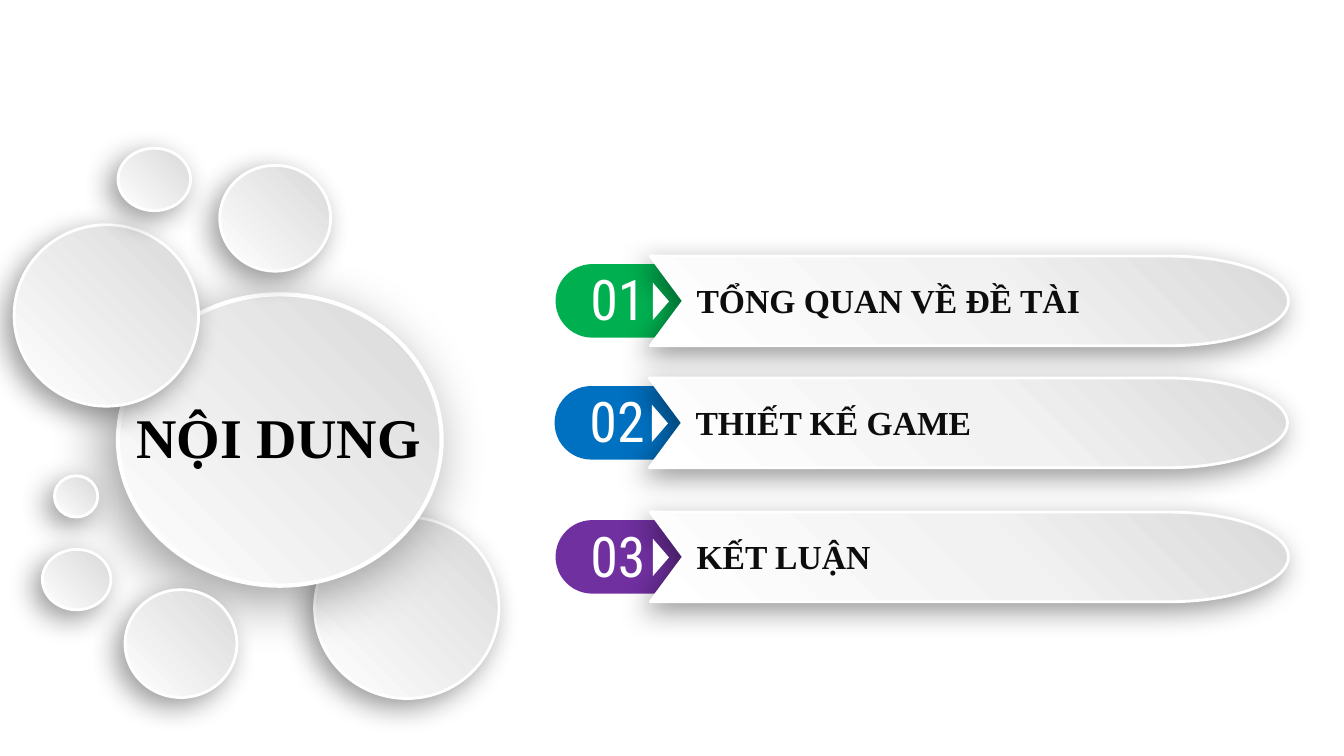
from copy import deepcopy

from lxml.etree import SubElement as add_node
from pptx import Presentation
from pptx.dml.color import RGBColor
from pptx.enum.shapes import MSO_SHAPE as Kind
from pptx.enum.text import MSO_ANCHOR as Anchor, MSO_AUTO_SIZE as Fit, PP_ALIGN as Align
from pptx.oxml.ns import qn
from pptx.util import Pt

SCALE = 9144
WHITE = RGBColor(0xFF, 0xFF, 0xFF)
PALE = RGBColor(0xF2, 0xF2, 0xF2)
GRAY = RGBColor(0xD9, 0xD9, 0xD9)
BLACK = RGBColor(0x00, 0x00, 0x00)
INK = RGBColor(0x0D, 0x0D, 0x0D)
GREEN = RGBColor(0x00, 0xB0, 0x50)
BLUE = RGBColor(0x00, 0x70, 0xC0)
PURPLE = RGBColor(0x70, 0x30, 0xA0)
SERIF = "Times New Roman"
SANS = "Roboto Condensed"

ROWS = [
    (645, 254, GREEN, "01", "TỔNG QUAN VỀ ĐỀ TÀI"),
    (644, 375, BLUE, "02", "THIẾT KẾ GAME"),
    (645, 508, PURPLE, "03", "KẾT LUẬN"),
]
BACK = (312, 513, 183, 180)
HUB = (117, 292, 321, 289)
DOTS = [
    (14, 223, 183, 180),
    (218, 164, 110, 105),
    (117, 147, 72, 62),
    (124, 585, 111, 107),
    (42, 545, 68, 60),
]
LAST = (54, 472, 43, 41)


def px(*sizes):
    return [round(size * SCALE) for size in sizes]


def shade(shape, stops):
    shape.fill.gradient()
    shape.fill.gradient_angle = 45
    nodes = shape._element.spPr.find(qn("a:gradFill")).find(qn("a:gsLst"))
    for _ in stops[2:]:
        nodes.insert(1, deepcopy(nodes[0]))
    for stop, (place, color) in zip(shape.fill.gradient_stops, stops):
        stop.position = place
        stop.color.rgb = color


def lift(shape, blur, gap):
    shape.shadow.inherit = False
    effects = shape._element.spPr.find(qn("a:effectLst"))
    cast = add_node(effects, qn("a:outerShdw"), blurRad=str(Pt(blur)), dist=str(Pt(gap)),
                    dir="8100000", algn="tr", rotWithShape="0")
    tint = add_node(cast, qn("a:srgbClr"), val=str(BLACK))
    add_node(tint, qn("a:alpha"), val="40000")


def edge(shape, width):
    shape.line.color.rgb = WHITE
    shape.line.width = Pt(width)


def add_disc(slide, box, width=2, blur=20, gap=8):
    disc = slide.shapes.add_shape(Kind.OVAL, *px(*box))
    shade(disc, [(0, WHITE), (1, GRAY)])
    edge(disc, width)
    lift(disc, blur, gap)
    return disc


def add_flat(slide, kind, box, color):
    shape = slide.shapes.add_shape(kind, *px(*box))
    shape.shadow.inherit = False
    shape.fill.solid()
    shape.fill.fore_color.rgb = color
    shape.line.fill.background()
    return shape


def bend(shape, first):
    lines = list(shape._element.iter(qn("a:lnTo")))[first:first + 3]
    curve = lines[0].makeelement(qn("a:cubicBezTo"))
    lines[0].addprevious(curve)
    for line in lines:
        curve.append(line[0])
        line.getparent().remove(line)


def add_banner(slide, left, top):
    base, mid = top + 89, top + 44.5
    side, turn, right = left + 13, left + 514, left + 633
    pull, rise = 66, 24.5
    points = [
        (turn, top),
        (turn + pull, top), (right, mid - rise), (right, mid),
        (right, mid + rise), (turn + pull, base), (turn, base),
        (side, base), (left, base), (left + 33, mid), (left, top),
    ]
    pen = slide.shapes.build_freeform(*px(side, top))
    pen.add_line_segments([px(*point) for point in points], close=True)
    banner = pen.convert_to_shape()
    for _ in range(2):
        bend(banner, 1)
    shade(banner, [(0, WHITE), (0.55, PALE), (1, GRAY)])
    edge(banner, 2)
    lift(banner, 20, 7)


def write(shape, text, size, font, color, bold=False, align=Align.LEFT, wrap=True):
    frame = shape.text_frame
    frame.text = text
    frame.word_wrap = wrap
    frame.auto_size = Fit.SHAPE_TO_FIT_TEXT
    frame.vertical_anchor = Anchor.TOP
    para = frame.paragraphs[0]
    para.alignment = align
    face = para.runs[0].font
    face.name, face.size, face.bold = font, Pt(size), bold
    face.color.rgb = color


def add_row(slide, left, top, color, number, label):
    pill = add_flat(slide, Kind.ROUNDED_RECTANGLE, (left - 94, top + 8, 228, 73), color)
    pill.adjustments[0] = 0.5
    add_banner(slide, left, top)
    digits = slide.shapes.add_textbox(*px(left - 72, top + 4, 80, 77))
    write(digits, number, 40, SANS, WHITE, align=Align.CENTER)
    arrow = add_flat(slide, Kind.ISOSCELES_TRIANGLE, (left - 8, top + 37, 37, 16), WHITE)
    arrow.rotation = 90
    words = slide.shapes.add_textbox(*px(left + 36, top + 19, 532, 50))
    write(words, label, 24, SERIF, INK, bold=True)


def set_title(slide, disc):
    title = slide.shapes.title
    title.left, title.top, title.width, title.height = px(124, 394, 305, 77)
    write(title, "NỘI DUNG", 40, SERIF, BLACK, bold=True, align=Align.CENTER, wrap=False)
    disc._element.addnext(title._element)


def main():
    deck = Presentation()
    deck.slide_width, deck.slide_height = px(1333, 750)
    slide = deck.slides.add_slide(deck.slide_layouts[5])
    add_disc(slide, BACK)
    for row in ROWS:
        add_row(slide, *row)
    add_disc(slide, HUB, 3, 42, 12)
    discs = [add_disc(slide, box) for box in DOTS]
    set_title(slide, discs[-1])
    add_disc(slide, LAST)
    deck.save("out.pptx")


if __name__ == "__main__":
    main()
